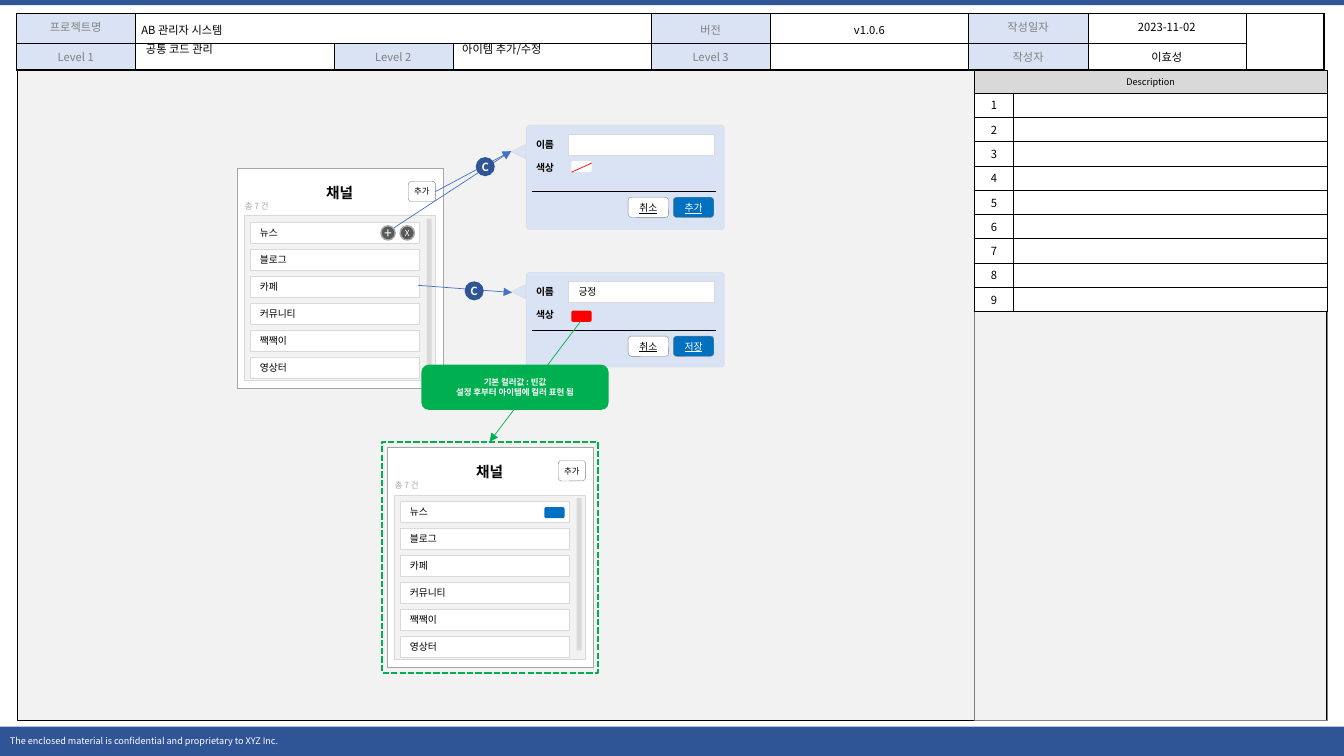
"""Build the wireframe slide for adding and editing items of a common code."""
from lxml.etree import SubElement
from pptx import Presentation
from pptx.dml.color import RGBColor
from pptx.enum.dml import MSO_LINE
from pptx.enum.shapes import MSO_CONNECTOR, MSO_SHAPE
from pptx.enum.text import MSO_ANCHOR, PP_ALIGN
from pptx.oxml.ns import qn
from pptx.util import Cm, Pt

FONT = "Noto Sans CJK KR"
NAVY, PALE, BLUE, GREEN = "2F5597", "DAE3F3", "0070C0", "00B050"
WHITE, BLACK, MIST, SILVER, GRAY = "FFFFFF", "000000", "F2F2F2", "D9D9D9", "808080"
ARROW = "4472C4"
LEFT, MID = PP_ALIGN.LEFT, PP_ALIGN.CENTER
RECT, ROUND, OVAL = MSO_SHAPE.RECTANGLE, MSO_SHAPE.ROUNDED_RECTANGLE, MSO_SHAPE.OVAL
INSET, SMALL, NONE = (.25, .13, .25, .13), (.1, .1, .1, .1), (0, 0, 0, 0)

HEAD = [
    ["프로젝트명", "AB 관리자 시스템", "", "", "버전", "v1.0.6", "작성일자", "2023-11-02", ""],
    ["Level 1", "", "Level 2", "", "Level 3", "", "작성자", "이효성", ""],
]
HEAD_COLS = [3, 5, 3, 5, 3, 5, 3, 3.99, 1.96]
TALL = {(0, 1), (0, 4), (0, 5)}
NOTES = [[str(n), ""] for n in range(1, 10)]
LEVELS = [(3.43, "공통 코드 관리"), (11.4, "아이템 추가/수정")]
ITEMS = ["뉴스", "블로그", "카페", "커뮤니티", "짹짹이", "영상터"]
CARDS = [(5.97, 4.24), (9.75, 11.28)]
DIALOGS = [
    dict(y=3.15, high=2.64, tip=.43, rule=1.68, hue=.91, fill=WHITE, name="", save="추가"),
    dict(y=6.86, high=2.39, tip=.25, rule=1.47, hue=.97, fill="FF0000", name="긍정", save="저장"),
]
ARROWS = [
    (10.97, 4.83, 12.88, 3.81),
    (9.93, 5.74, 12.88, 3.81),
    (10.54, 7.19, 12.9, 7.37),
]
BADGES = [(11.99, 3.96), (11.71, 7.09)]
MARKS = [("X", 3.97 * 2.54, 6), ("+", 3.78 * 2.54, 10)]

deck = Presentation()
deck.slide_width, deck.slide_height = Cm(33.87), Cm(19.05)
slide = deck.slides.add_slide(deck.slide_layouts[6])


def color(text):
    return RGBColor.from_string(text)


def paint(fill, tone):
    if tone:
        fill.solid()
        fill.fore_color.rgb = color(tone)
    else:
        fill.background()


def write(frame, text, size=7, ink=BLACK, align=LEFT, pad=INSET, anchor=MSO_ANCHOR.MIDDLE,
          bold=False, under=False, space=1.0):
    sides = zip(("margin_left", "margin_top", "margin_right", "margin_bottom"), map(Cm, pad))
    look = dict(sides, word_wrap=True, vertical_anchor=anchor)
    for key, value in look.items():
        setattr(frame, key, value)
    frame.text = text
    for para in frame.paragraphs:
        para.alignment, para.line_spacing = align, space
        for run in para.runs:
            form = dict(name=FONT, size=Pt(size), bold=bold, underline=under)
            for key, value in form.items():
                setattr(run.font, key, value)
            run.font.color.rgb = color(ink)
            SubElement(run.font._element, qn("a:ea"), typeface=FONT)
        if not para.runs:
            SubElement(para._p, qn("a:endParaRPr"), sz=str(size * 100))


def block(kind, x, y, wide, high, fill=None, line=None, width=.25, text="", **form):
    part = slide.shapes.add_shape(kind, Cm(x), Cm(y), Cm(wide), Cm(high))
    part.shadow.inherit = False
    paint(part.fill, fill)
    paint(part.line.fill, line)
    if line:
        part.line.width = Pt(width)
    if text:
        write(part.text_frame, text, **form)
    return part


def label(x, y, wide, high, text, **form):
    box = slide.shapes.add_textbox(Cm(x), Cm(y), Cm(wide), Cm(high))
    write(box.text_frame, text, **form)


def rule(x, y, to_x, to_y, tone, arrow=False):
    line = slide.shapes.add_connector(MSO_CONNECTOR.STRAIGHT, Cm(x), Cm(y), Cm(to_x), Cm(to_y))
    line.line.width = Pt(.5)
    line.line.color.rgb = color(tone)
    if arrow:
        SubElement(line.line._get_or_add_ln(), qn("a:tailEnd"), type="triangle")
    SubElement(line._element.spPr, qn("a:effectLst"))


def border(cell, heavy=()):
    props = cell._tc.get_or_add_tcPr()
    for spot, side in enumerate(("lnL", "lnR", "lnT", "lnB")):
        width = Pt(1.5 if side in heavy else .25)
        edge = SubElement(props, qn("a:" + side), w=str(width))
        SubElement(SubElement(edge, qn("a:solidFill")), qn("a:srgbClr"), val=BLACK)
        props.remove(edge)
        props.insert(spot, edge)


def grid(x, y, cols, rows, data):
    frame = slide.shapes.add_table(len(rows), len(cols), Cm(x), Cm(y), Cm(sum(cols)), Cm(sum(rows)))
    table = frame.table
    table.first_row = table.horz_banding = False
    for col, wide in zip(table.columns, cols):
        col.width = Cm(wide)
    for row, high in zip(table.rows, rows):
        row.height = Cm(high)
    cells = [(r, c, table.cell(r, c), text)
             for r, line in enumerate(data) for c, text in enumerate(line)]
    return table, cells


def fit(cell, pad, anchor, tone):
    names = ("margin_left", "margin_top", "margin_right", "margin_bottom")
    for key, value in zip(names, pad):
        setattr(cell, key, Cm(value))
    cell.vertical_anchor = anchor
    paint(cell.fill, tone)


def header():
    table, cells = grid(.41, .33, HEAD_COLS, [.66, .58], HEAD)
    for r, c, cell, text in cells:
        tag = c % 2 == 0 and c < 8
        pad = (.15, .13, .15, .13)
        write(cell.text_frame, text, size=8, ink=GRAY if tag else BLACK, pad=pad,
              align=LEFT if c == 1 else MID, space=1.2 if (r, c) in TALL else 1.0)
        fit(cell, pad, MSO_ANCHOR.TOP, PALE if tag and (r, c) != (0, 2) else WHITE)
        border(cell, ["lnB"] * (r == 1 or c == 8) + ["lnR"] * (c == 8))
    table.cell(0, 1).merge(table.cell(0, 3))
    table.cell(0, 8).merge(table.cell(1, 8))


def notes():
    cells = grid(24.56, 2.34, [.98, 7.9], [.61] * len(NOTES), NOTES)[1]
    for r, c, cell, text in cells:
        write(cell.text_frame, text, size=8, align=MID, pad=SMALL)
        fit(cell, SMALL, MSO_ANCHOR.MIDDLE, WHITE)
        border(cell)


def card(x, y):
    block(RECT, x, y, 5.21, 5.54, WHITE, "A6A6A6")
    label(x + .89, y + .25, 3.4, .71, "채널", size=10.5, align=MID, bold=True)
    block(RECT, x + .18, y + 1.19, 4.83, 4.14, MIST, SILVER)
    block(RECT, x + 4.78, y + 1.27, .13, 3.84, SILVER)
    for n, item in enumerate(ITEMS):
        block(RECT, x + .33, y + 1.35 + .68 * n, 4.27, .53, WHITE, SILVER, text=item)
    label(x - .05, y + .69, 1.27, .51, "총 7 건", size=6, ink="A6A6A6")
    block(ROUND, x + 4.32, y + .33, .69, .51, WHITE, GRAY, text="추가", size=6, align=MID, pad=NONE)


def dialog(y, high, tip, rule_y, hue, fill, name, save):
    x = 13.26
    block(MSO_SHAPE.ISOSCELES_TRIANGLE, x - .38, y + tip, .48, .48, PALE, SILVER).rotation = 270
    block(ROUND, x, y, 5, high, PALE, SILVER).adjustments[0] = .037
    rule(x + .15, y + rule_y, x + 4.78, y + rule_y, BLACK)
    for dx, tone, ink, text in ((3.71, BLUE, WHITE, save), (2.57, WHITE, BLACK, "취소")):
        block(ROUND, x + dx, y + rule_y + .14, 1.02, .51, tone, GRAY, text=text,
              ink=ink, align=MID, pad=SMALL, under=True)
    block(RECT, x + 1.07, y + .23, 3.68, .53, WHITE, SILVER, text=name)
    for dy, text in ((.22, "이름"), (.8, "색상")):
        label(x, y + dy, 1.02, .56, text, pad=(.25, .13, 0, .13), bold=True)
    block(ROUND, x + 1.14, y + hue, .51, .28, fill)
    if fill == WHITE:
        rule(x + 1.65, y + hue + .05, x + 1.14, y + hue + .28, "FF0000")


def main():
    block(RECT, 0, 0, 33.87, .13, NAVY)
    block(RECT, 0, 18.31, 33.87, .74, NAVY, size=6.5, ink=WHITE,
          text="The enclosed material is confidential and proprietary to XYZ Inc.")
    header()
    block(RECT, .43, 1.78, 32.99, 16.36, MIST, BLACK)
    block(RECT, 24.56, 1.78, 8.88, 16.36, None, GRAY)
    block(RECT, 24.56, 1.78, 8.88, .56, SILVER, BLACK, text="Description", size=6.5, align=MID, pad=SMALL)
    notes()
    for x, text in LEVELS:
        label(x, .96, 5, .61, text, size=8, space=.9)
    block(RECT, 9.63, 11.13, 5.44, 5.82, None, GREEN, 1.5).line.dash_style = MSO_LINE.SQUARE_DOT
    for x, y in CARDS:
        card(x, y)
    for text, x, size in MARKS:
        block(OVAL, x, 5.69, .36, .36, "595959", "A6A6A6", 1, text=text,
              size=size, ink=WHITE, align=MID, pad=NONE)
    block(ROUND, 13.72, 12.78, .51, .28, BLUE)
    for part in DIALOGS:
        dialog(*part.values())
    for ends in ARROWS:
        rule(*ends, ARROW, True)
    for x, y in BADGES:
        block(OVAL, x, y, .48, .48, NAVY, text="C", size=8, ink=WHITE, align=MID, pad=NONE, bold=True)
    rule(14.63, 8.1, 12.34, 11.13, GREEN, True)
    block(ROUND, 10.62, 9.19, 4.72, 1.14, GREEN, size=6, ink=WHITE, align=MID, pad=NONE, bold=True,
          text="기본 컬러값 : 빈값\n설정 후부터 아이템에 컬러 표현 됨")
    deck.save("out.pptx")


if __name__ == "__main__":
    main()
